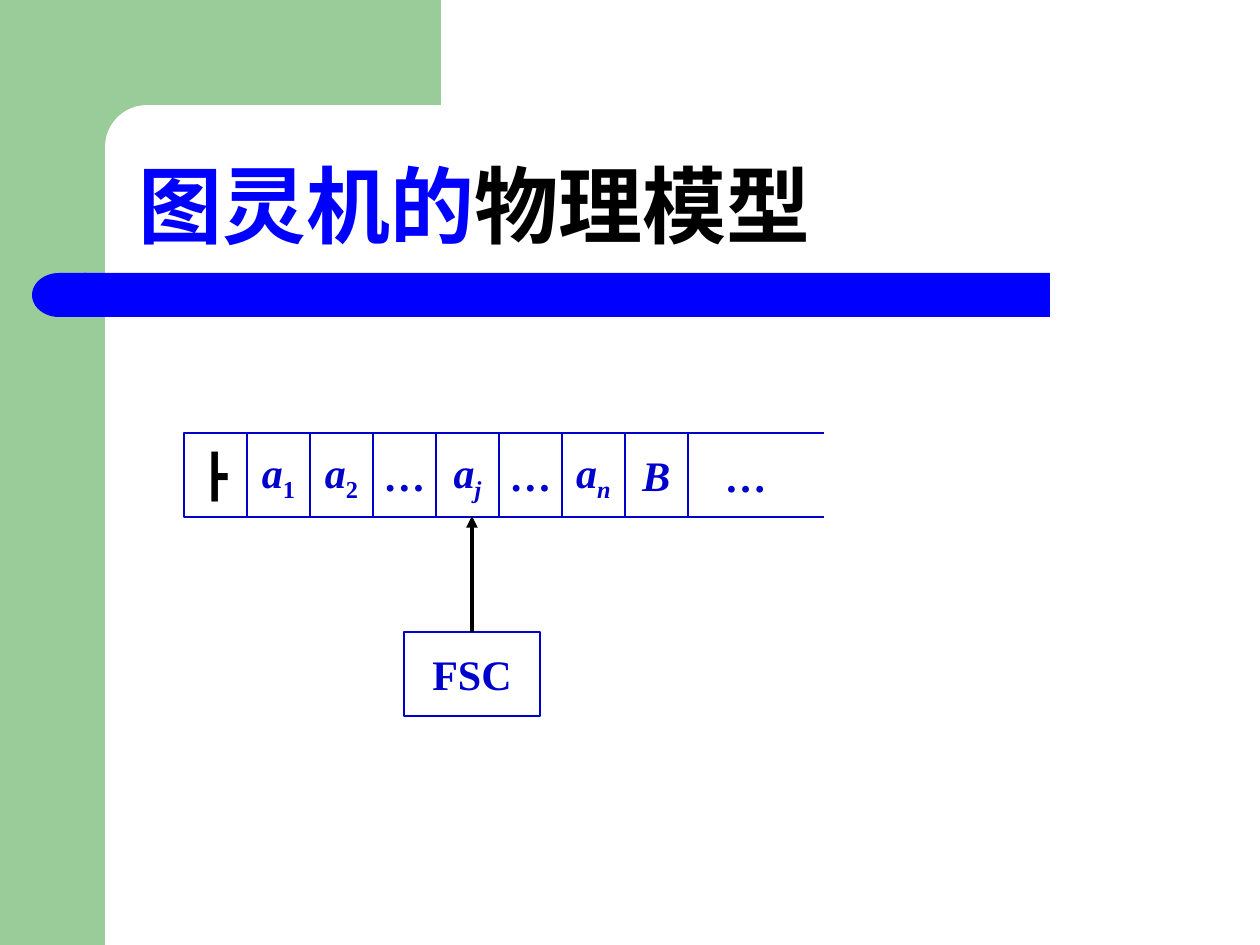
from pptx import Presentation
from pptx.dml.color import RGBColor
from pptx.enum.shapes import MSO_CONNECTOR, MSO_SHAPE
from pptx.enum.text import MSO_ANCHOR, MSO_AUTO_SIZE, PP_ALIGN
from pptx.oxml.ns import qn
from pptx.util import Pt
from lxml.etree import SubElement

PX = 914400 // 126
FONT = "Times New Roman"
HEX = {"green": "99CC99", "white": "FFFFFF", "blue": "0000FF",
       "navy": "0000CC", "black": "000000"}

TITLE = [("图灵机的", "blue"), ("物理模型", "black")]
# text, subscript, colour, italic
TAPE = [
    ("┣", "", "black", False),
    ("a", "1", "navy", True),
    ("a", "2", "navy", True),
    ("…", "", "navy", False),
    ("a", "j", "navy", True),
    ("…", "", "navy", False),
    ("a", "n", "navy", True),
    ("B", "", "navy", True),
]
# shape, box, colour
DECOR = [
    (MSO_SHAPE.RECTANGLE, (0, 0, 105, 945), "green"),
    (MSO_SHAPE.RECTANGLE, (95, 0, 346, 147), "green"),
    (MSO_SHAPE.ROUNDED_RECTANGLE, (105, 105, 703, 84), "white"),
    (MSO_SHAPE.RECTANGLE, (84, 273, 966, 44), "blue"),
    (MSO_SHAPE.FLOWCHART_DELAY, (32, 273, 54, 44), "blue"),
]
LEFT, TOP, WIDE, HIGH = 184, 433, 63, 84
TAIL = 136


def px(*nums):
    return [n * PX for n in nums]


def tint(name):
    return RGBColor.from_string(HEX[name])


def style(font, size, color, italic=False):
    font.name, font.size = FONT, Pt(size)
    font.bold, font.italic = True, italic
    font.color.rgb = tint(color)


def write(shape, text, sub="", color="navy", italic=False):
    """Put one centred line, with an optional subscript, in a shape."""
    frame = shape.text_frame
    frame.word_wrap = False
    frame.vertical_anchor = MSO_ANCHOR.MIDDLE
    para = frame.paragraphs[0]
    para.alignment = PP_ALIGN.CENTER
    style(para.font, 24, color, italic)
    para.add_run().text = text
    if sub:
        run = para.add_run()
        run.text = sub
        run.font.italic = not sub.isdigit()
        run.font._element.set("baseline", "-25000")


def draw(kind, box, fill=None):
    """Add a filled shape, or an outlined one when no fill is given."""
    shape = slide.shapes.add_shape(kind, *px(*box))
    shape.shadow.inherit = False
    if fill:
        shape.fill.solid()
        shape.fill.fore_color.rgb = tint(fill)
        shape.line.fill.background()
    else:
        shape.fill.background()
        shape.line.color.rgb = tint("navy")
        shape.line.width = Pt(0.75)
    return shape


def link(ends, color, width):
    line = slide.shapes.add_connector(MSO_CONNECTOR.STRAIGHT, *px(*ends))
    line.line.color.rgb = tint(color)
    line.line.width = Pt(width)
    SubElement(line._element.spPr, qn("a:effectLst"))
    return line


deck = Presentation()
deck.slide_width, deck.slide_height = px(1260, 945)
slide = deck.slides.add_slide(deck.slide_layouts[5])

for kind, box, color in DECOR:
    shape = draw(kind, box, color)
    if kind == MSO_SHAPE.ROUNDED_RECTANGLE:
        shape.adjustments[0] = 0.5
    elif kind == MSO_SHAPE.FLOWCHART_DELAY:
        shape.rotation = 180

title = slide.shapes.title
# Bring the title in front of the decoration
shape._element.addnext(title._element)
title.left, title.top, title.width, title.height = px(126, 105, 1103, 157)
frame = title.text_frame
frame.auto_size = MSO_AUTO_SIZE.NONE
frame.vertical_anchor = MSO_ANCHOR.BOTTOM
para = frame.paragraphs[0]
para.alignment = PP_ALIGN.LEFT
para.line_spacing = 0.9
for text, color in TITLE:
    run = para.add_run()
    run.text = text
    style(run.font, 48, color)

for i, cell in enumerate(TAPE):
    write(draw(MSO_SHAPE.RECTANGLE, (LEFT + i * WIDE, TOP, WIDE, HIGH)), *cell)

end = LEFT + len(TAPE) * WIDE
for y in (TOP, TOP + HIGH):
    link((end, y, end + TAIL, y), "navy", 0.75)
write(slide.shapes.add_textbox(*px(end + 10, 444, 95, 63)), "…")

control = draw(MSO_SHAPE.RECTANGLE, (404, 632, 136, HIGH))
write(control, "FSC")
head = link((472, 632, 472, 516), "black", 2.25)
head.begin_connect(control, 0)
SubElement(head.line._get_or_add_ln(), qn("a:tailEnd"), type="triangle")

deck.save("out.pptx")
